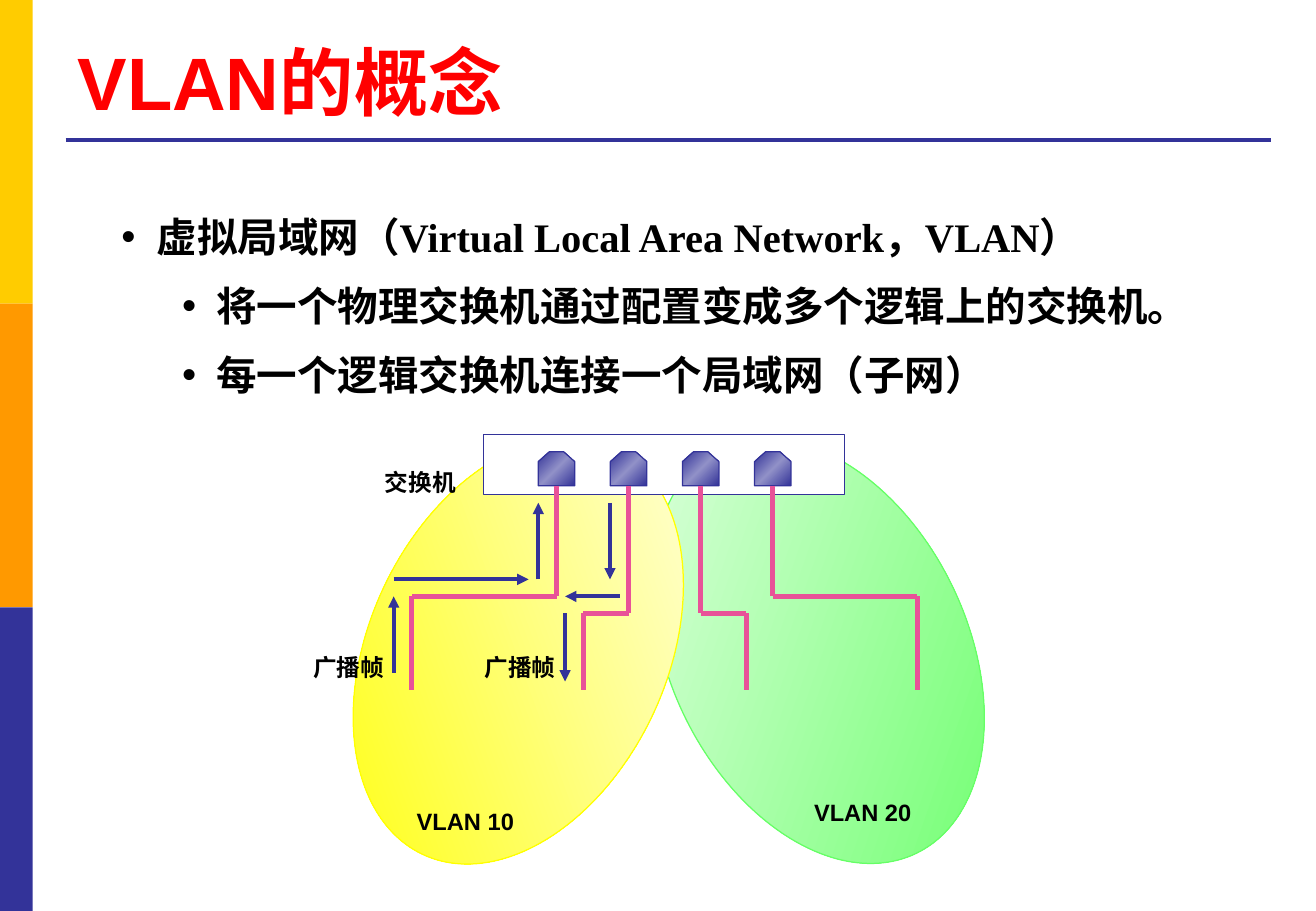
from copy import deepcopy

from lxml import etree
from pptx import Presentation
from pptx.dml.color import RGBColor
from pptx.enum.shapes import MSO_CONNECTOR, MSO_SHAPE
from pptx.enum.text import MSO_ANCHOR, PP_ALIGN
from pptx.oxml.ns import qn
from pptx.util import Inches, Pt

STRAIGHT = MSO_CONNECTOR.STRAIGHT
RECTANGLE, OVAL = MSO_SHAPE.RECTANGLE, MSO_SHAPE.OVAL
TOP, BOTTOM = MSO_ANCHOR.TOP, MSO_ANCHOR.BOTTOM
LEFT, CENTER = PP_ALIGN.LEFT, PP_ALIGN.CENTER

BLACK, WHITE, RED = "000000", "FFFFFF", "FF0000"
NAVY, PINK, GREEN, YELLOW = "333399", "E85298", "66FF66", "FFFF00"

TITLE_FONT = {"name": "Arial", "size": Pt(44), "bold": True}
BODY_FONT = {"name": "Times New Roman", "size": Pt(24), "bold": True}
LABEL_FONT = {"name": "Arial", "size": Pt(14), "bold": True}

SIDE_BANDS = ["FFCC00", "FF9900", NAVY]
BULLETS = [
    ("虚拟局域网（Virtual Local Area Network，VLAN）", 0, 0.29, -0.29),
    ("将一个物理交换机通过配置变成多个逻辑上的交换机。", 1, 0.78, -0.28),
    ("每一个逻辑交换机连接一个局域网（子网）", 1, 0.78, -0.28),
]
VLAN_AREAS = [
    (5.51, 334.2, GREEN, [(0, "E8FFE8"), (1, GREEN)], 45),
    (3.04, 25.1, YELLOW, [(0, YELLOW), (1, "FFFFED")], 315),
]
PORT_STOPS = [(0, NAVY), (0.5, "9191C8"), (1, NAVY)]
FIRST_PORT, PORT_PITCH = 4.58, 1.78 / 3
PORT_BOTTOM, CABLE_END = 4, 5.68
CABLES = [(4.91, 3.39), (5.05, 4.8), (5.05, 6.14), (4.91, 7.55)]
FRAME_ARROWS = [
    (3.24, 5.54, 3.24, 4.91),
    (3.24, 4.77, 4.35, 4.77),
    (4.43, 4.77, 4.43, 4.14),
    (5.02, 4.14, 5.02, 4.77),
    (5.1, 4.91, 4.65, 4.91),
    (4.65, 5.05, 4.65, 5.61),
]
LABELS = [
    ("交换机", 2.94, 3.8),
    ("广播帧", 2.35, 5.33),
    ("广播帧", 3.76, 5.33),
    ("VLAN 10", 3.31, 6.59),
    ("VLAN 20", 6.58, 6.52),
]


def color(value):
    """Return the colour for a hex string."""
    return RGBColor.from_string(value)


def outline(shape, value=None):
    """Drop the shadow and draw a thin outline, or none."""
    shape.shadow.inherit = False
    if value is None:
        shape.line.fill.background()
    else:
        shape.line.color.rgb = color(value)
        shape.line.width = Pt(0.75)


def fill_gradient(shape, stops, clockwise_angle):
    """Fill a shape with a linear gradient of (position, colour) stops."""
    shape.fill.gradient()
    shape.fill.gradient_angle = 360 - clockwise_angle
    stop_list = shape._element.spPr.find(qn("a:gradFill")).find(qn("a:gsLst"))
    while len(stop_list) < len(stops):
        stop_list.append(deepcopy(stop_list[0]))
    for stop, (position, value) in zip(shape.fill.gradient_stops, stops):
        stop.position = position
        stop.color.rgb = color(value)


def add_box(slide, kind, left, top, width, height, fill, line=None):
    """Add a preset shape with a plain fill."""
    shape = slide.shapes.add_shape(
        kind, Inches(left), Inches(top), Inches(width), Inches(height))
    shape.fill.solid()
    shape.fill.fore_color.rgb = color(fill)
    outline(shape, line)
    return shape


def add_line(slide, start_x, start_y, end_x, end_y, value, width, arrow=False):
    """Add a straight line, with an arrowhead at its end if asked."""
    connector = slide.shapes.add_connector(
        STRAIGHT, Inches(start_x), Inches(start_y), Inches(end_x), Inches(end_y))
    connector.line.color.rgb = color(value)
    connector.line.width = Pt(width)
    if arrow:
        line = connector.line._get_or_add_ln()
        etree.SubElement(line, qn("a:tailEnd"), type="triangle")
    etree.SubElement(connector._element.spPr, qn("a:effectLst"))


def add_text_frame(slide, left, top, width, height, anchor=TOP):
    """Add a wrapping text box and return its text frame."""
    box = slide.shapes.add_textbox(
        Inches(left), Inches(top), Inches(width), Inches(height))
    box.text_frame.word_wrap = True
    box.text_frame.vertical_anchor = anchor
    return box.text_frame


def format_paragraph(paragraph, text, font, value=BLACK, alignment=LEFT):
    """Write a paragraph with the given font values."""
    paragraph.text = text
    paragraph.alignment = alignment
    for name, setting in font.items():
        setattr(paragraph.font, name, setting)
    paragraph.font.color.rgb = color(value)


def add_bullets(slide):
    """Add the bulleted definition of a VLAN."""
    frame = add_text_frame(slide, 0.9, 1.7, 9.38, 1.72)
    for index, (text, level, margin, indent) in enumerate(BULLETS):
        paragraph = frame.add_paragraph() if index else frame.paragraphs[0]
        paragraph.level = level
        if index:
            paragraph.space_before = Pt(12)
        properties = paragraph._p.get_or_add_pPr()
        properties.set("marL", str(Inches(margin)))
        properties.set("indent", str(Inches(indent)))
        etree.SubElement(properties, qn("a:buFont"), typeface="Arial")
        etree.SubElement(properties, qn("a:buChar"), char="•")
        format_paragraph(paragraph, text, BODY_FONT)


def add_port(slide, center):
    """Add a switch port, a box with its upper corners cut."""
    corners = [(-0.06, 3.72), (-0.15, 3.8), (-0.15, PORT_BOTTOM),
               (0.15, PORT_BOTTOM), (0.15, 3.8), (0.06, 3.72)]
    points = [(Inches(center + offset), Inches(y)) for offset, y in corners]
    builder = slide.shapes.build_freeform(*points[0])
    builder.add_line_segments(points[1:], close=True)
    port = builder.convert_to_shape()
    fill_gradient(port, PORT_STOPS, 45)
    outline(port, NAVY)


def add_cable(slide, center, bend, end):
    """Add a cable that runs down from a port, sideways and down again."""
    route = [(center, PORT_BOTTOM), (center, bend), (end, bend), (end, CABLE_END)]
    for start, stop in zip(route, route[1:]):
        add_line(slide, *start, *stop, PINK, 3)


def add_frame_style(slide):
    """Add the side bands, the title and its rule."""
    for index, fill in enumerate(SIDE_BANDS):
        add_box(slide, RECTANGLE, 0, 2.5 * index, 0.27, 2.5, fill)
    add_line(slide, 0.54, 1.15, 10.46, 1.15, NAVY, 2.25)
    title = add_text_frame(slide, 0.54, 0.21, 9.91, 0.87, BOTTOM)
    format_paragraph(title.paragraphs[0], "VLAN的概念", TITLE_FONT, RED)


def add_diagram(slide):
    """Add the switch that is split into two VLANs."""
    for left, rotation, line, stops, angle in VLAN_AREAS:
        area = add_box(slide, OVAL, left, 3.51, 2.45, 3.7, line, line)
        area.rotation = rotation
        fill_gradient(area, stops, angle)
    add_box(slide, RECTANGLE, 3.98, 3.58, 2.97, 0.49, WHITE, NAVY)
    for index, (bend, end) in enumerate(CABLES):
        center = FIRST_PORT + PORT_PITCH * index
        add_port(slide, center)
        add_cable(slide, center, bend, end)
    for arrow in FRAME_ARROWS:
        add_line(slide, *arrow, NAVY, 2.25, arrow=True)
    for text, left, top in LABELS:
        label = add_text_frame(slide, left, top, 1.04, 0.34)
        format_paragraph(label.paragraphs[0], text, LABEL_FONT, alignment=CENTER)


def main():
    """Build the slide and save it."""
    presentation = Presentation()
    presentation.slide_width = Inches(10.83)
    presentation.slide_height = Inches(7.5)
    slide = presentation.slides.add_slide(presentation.slide_layouts[6])
    add_frame_style(slide)
    add_bullets(slide)
    add_diagram(slide)
    presentation.save("out.pptx")


if __name__ == "__main__":
    main()
